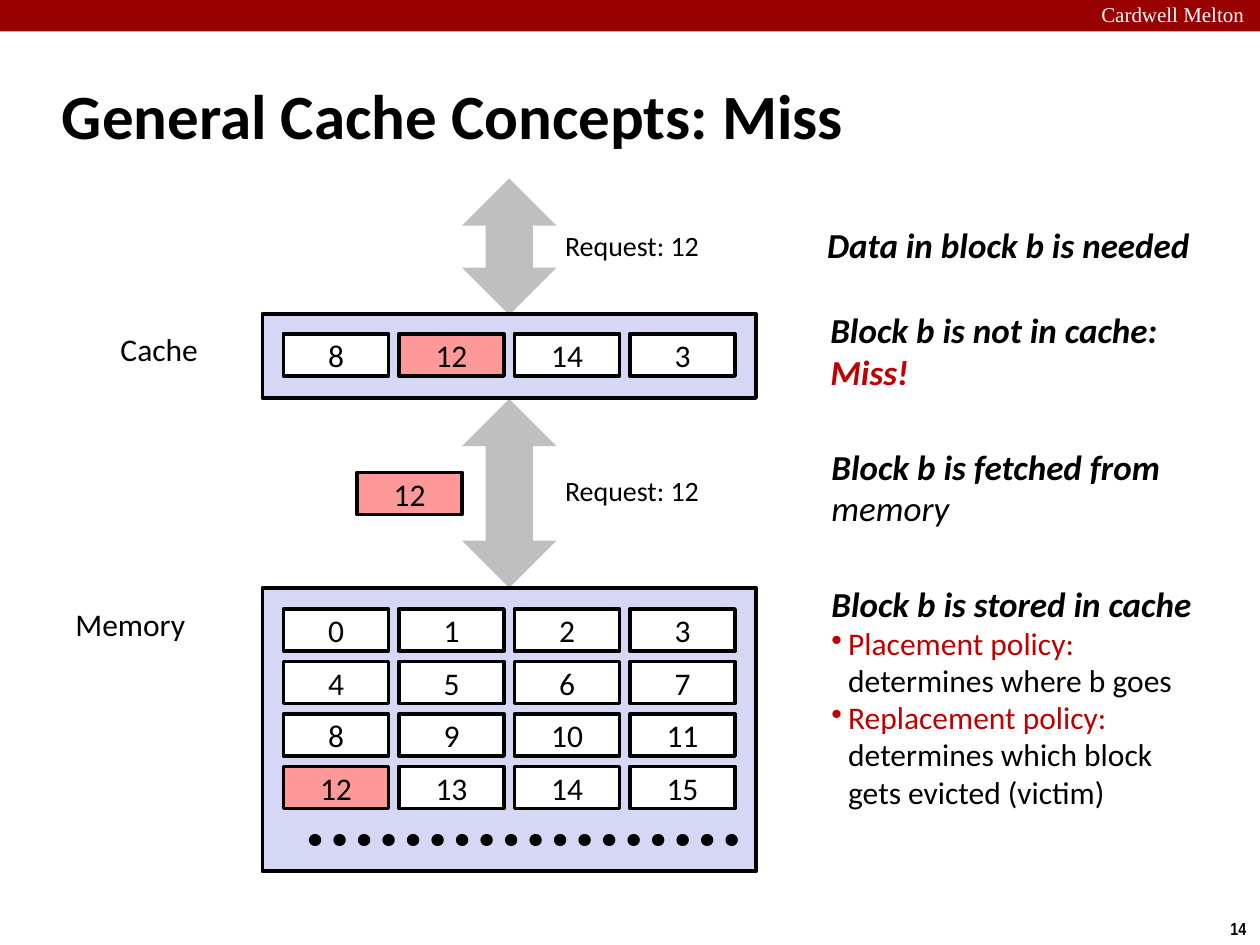
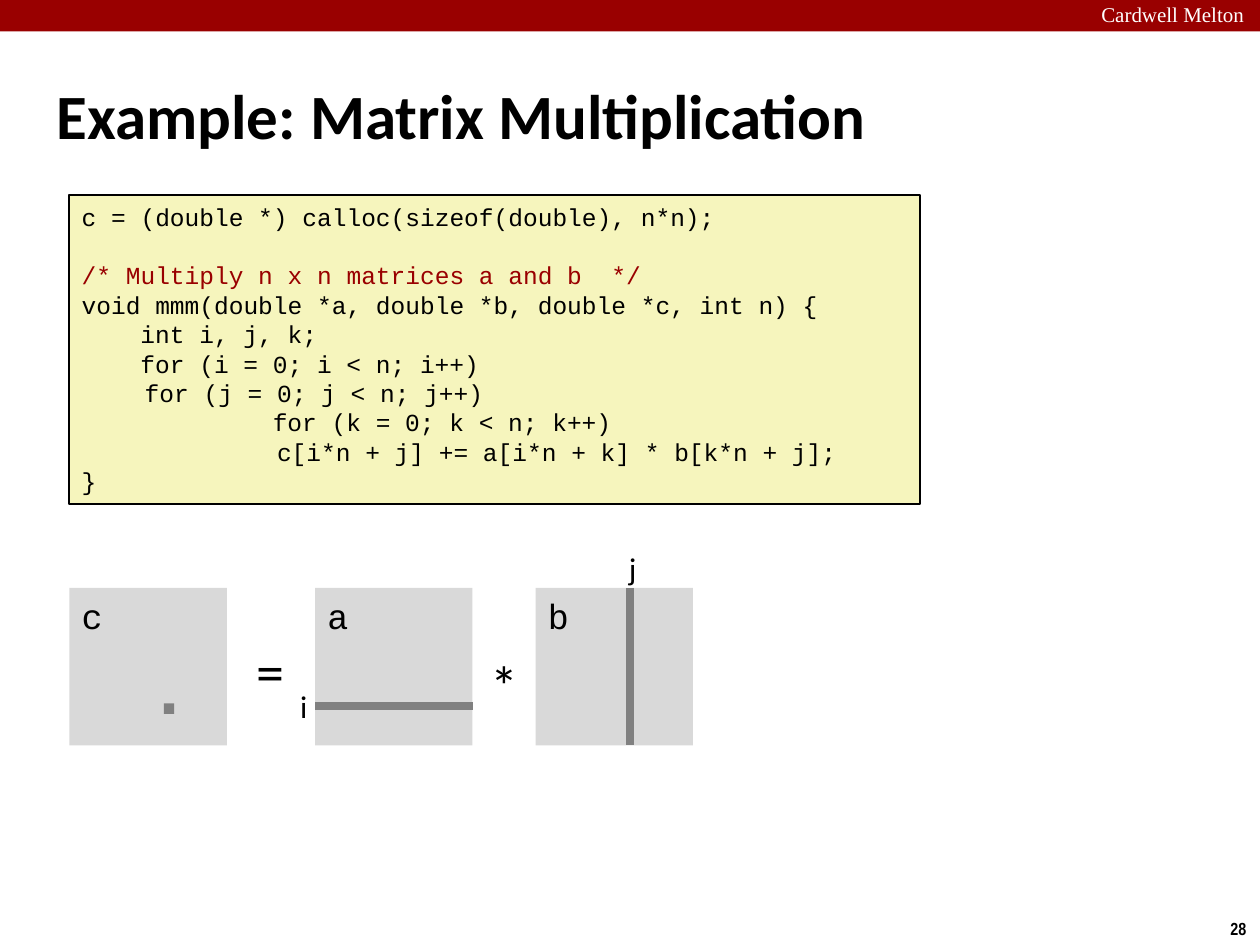
"""Builds two lecture slides: a cache miss diagram and a matrix multiplication example."""
from lxml.etree import SubElement
from pptx import Presentation
from pptx.dml.color import RGBColor
from pptx.enum.dml import MSO_LINE
from pptx.enum.shapes import MSO_CONNECTOR, MSO_SHAPE
from pptx.enum.text import MSO_ANCHOR, MSO_AUTO_SIZE, PP_ALIGN
from pptx.oxml.ns import qn
from pptx.util import Emu, Pt

PX = 7620
BLACK, WHITE, RED, CRIMSON = "000000", "FFFFFF", "990000", "C00000"
LAVENDER, PINK, CREAM = "D6D6F5", "FF9999", "F6F5BD"
ARROW_GRAY, MATRIX_GRAY, MARK_GRAY = "BFBFBF", "D9D9D9", "808080"
BODY, CODE, BRAND, NUMBER = "Calibri", "Courier New", "Times New Roman", "Arial Narrow"

UNIVERSITY = "Cardwell Melton"

REQUESTED = 12
CACHE_BLOCKS = [[8, 12, 14, 3]]
MEMORY_BLOCKS = [[4 * row + col for col in range(4)] for row in range(4)]
STORES = [((250, 560, 470, 270), 580, MEMORY_BLOCKS),
          ((250, 299, 470, 80), 318, CACHE_BLOCKS)]
BLOCK_LEFT, BLOCK_PITCH, ROW_PITCH = 270, 110, 50
BLOCK_SIZE = (100, 40)
TRANSFERS = [(440, 170, 90, 130), (440, 380, 90, 180)]
STORE_LABELS = [("Cache", (103, 308, 125, 60)), ("Memory", (60, 570, 168, 60))]
REQUEST_TOPS = [212, 445]
STEPS = [
    ((776, 208, 371, 52), ["Data in block b is needed"]),
    ((779, 290, 337, 91), ["Block b is not in cache:", [("Miss!", {"color": CRIMSON})]]),
    ((780, 420, 340, 91), ["Block b is fetched from", [("memory", {"bold": False})]]),
]
PLAIN = {"size": 18, "bold": False, "italic": False}
POLICIES = [("Placement policy:", "determines where b goes"),
            ("Replacement policy:", "determines which block\ngets evicted (victim)")]
STORED = ["Block b is stored in cache"] + [
    [(name + "\n", {**PLAIN, "color": CRIMSON}), (effect, PLAIN)] for name, effect in POLICIES]

CODE_LINES = [
    (0, "c = (double *) calloc(sizeof(double), n*n);"),
    (0, "/* Multiply n x n matrices a and b  */"),
    (0, "void mmm(double *a, double *b, double *c, int n) {"),
    (56, "int i, j, k;"),
    (56, "for (i = 0; i < n; i++)"),
    (60, "for (j = 0; j < n; j++)"),
    (182, "for (k = 0; k < n; k++)"),
    (186, "c[i*n + j] += a[i*n + k] * b[k*n + j];"),
    (0, "}"),
]
CODE_LEADING = Pt(16.8)
MATRIX_TOP, MATRIX_SIDE = 560, 150
MATRICES = {"c": 66, "a": 300, "b": 510}
ROW_Y, COLUMN_X = 672, 600
SIGNS = [("i", (274, 648, 31, 48), 18), ("j", (587, 517, 32, 48), 18),
         ("*", (455, 614, 52, 77), 32), ("=", (232, 600, 52, 77), 32)]


def rgb(hex_color):
    return RGBColor.from_string(hex_color)


def px(*lengths):
    return [Emu(length * PX) for length in lengths]


def write(frame, paragraphs, size=18, color=BLACK, font=BODY, bold=False, italic=False,
          align=PP_ALIGN.LEFT, anchor=MSO_ANCHOR.TOP, spacing=None):
    frame.vertical_anchor = anchor
    base = {"size": size, "color": color, "bold": bold, "italic": italic}
    for index, runs in enumerate(paragraphs):
        paragraph = frame.add_paragraph() if index else frame.paragraphs[0]
        paragraph.alignment = align
        paragraph.line_spacing = spacing
        for text, changes in [(runs, {})] if isinstance(runs, str) else runs:
            style = {**base, **changes}
            for part_index, part in enumerate(text.split("\n")):
                if part_index:
                    paragraph.add_line_break()
                if part:
                    run = paragraph.add_run()
                    run.text = part
                    run.font.name, run.font.size = font, Pt(style["size"])
                    run.font.bold, run.font.italic = style["bold"], style["italic"]
                    run.font.color.rgb = rgb(style["color"])
    return frame


def add_label(slide, box, paragraphs, **style):
    frame = slide.shapes.add_textbox(*px(*box)).text_frame
    frame.word_wrap = False
    frame.auto_size = MSO_AUTO_SIZE.SHAPE_TO_FIT_TEXT
    return write(frame, paragraphs, **style)


def add_box(slide, box, fill, border=None, kind=MSO_SHAPE.RECTANGLE):
    shape = slide.shapes.add_shape(kind, *px(*box))
    shape.shadow.inherit = False
    shape.fill.solid()
    shape.fill.fore_color.rgb = rgb(fill)
    if border:
        shape.line.color.rgb = rgb(BLACK)
        shape.line.width = Pt(border)
    else:
        shape.line.fill.background()
    return shape


def add_line(slide, ends, color, width, dotted=False):
    connector = slide.shapes.add_connector(MSO_CONNECTOR.STRAIGHT, *px(*ends))
    connector.line.color.rgb = rgb(color)
    connector.line.width = Pt(width)
    properties = connector._element.spPr
    if dotted:
        connector.line.dash_style = MSO_LINE.ROUND_DOT
        properties.find(qn("a:ln")).set("cap", "rnd")
    SubElement(properties, qn("a:effectLst"))


def add_block(slide, left, top, value):
    block = add_box(slide, (left, top, *BLOCK_SIZE), PINK if value == REQUESTED else WHITE, 2.25)
    write(block.text_frame, [str(value)], align=PP_ALIGN.CENTER, anchor=MSO_ANCHOR.MIDDLE)


def start_slide(deck, title, title_left, number):
    slide = deck.slides.add_slide(deck.slide_layouts[5])
    add_box(slide, (0, 0, 1200, 30), RED)
    add_label(slide, (1037, -4, 172, 36), [UNIVERSITY], size=12, color=WHITE, font=BRAND)
    add_label(slide, (1160, 868, 41, 32), [number], size=10, font=NUMBER, bold=True)
    heading = slide.shapes.title
    heading.left, heading.top, heading.width, heading.height = px(title_left, 59, 996, 100)
    write(heading.text_frame, [title], size=36, bold=True, anchor=MSO_ANCHOR.MIDDLE)
    return slide


def build_cache_miss(deck):
    slide = start_slide(deck, "General Cache Concepts: Miss", 47, "14")
    for box in TRANSFERS:
        add_box(slide, box, ARROW_GRAY, kind=MSO_SHAPE.UP_DOWN_ARROW)
    for box, first_top, rows in STORES:
        add_box(slide, box, LAVENDER, 2.25)
        for row, values in enumerate(rows):
            for col, value in enumerate(values):
                add_block(slide, BLOCK_LEFT + col * BLOCK_PITCH, first_top + row * ROW_PITCH, value)
    add_block(slide, 340, 450, REQUESTED)
    add_line(slide, (300, 800, 700, 800), BLACK, 7, dotted=True)
    for name, box in STORE_LABELS:
        add_label(slide, box, [name])
    for top in REQUEST_TOPS:
        add_label(slide, (524, top, 156, 44), [f"Request: {REQUESTED}"],
                  size=16, align=PP_ALIGN.CENTER)
    step_style = {"size": 20, "bold": True, "italic": True,
                  "anchor": MSO_ANCHOR.MIDDLE, "spacing": 0.98}
    for box, lines in STEPS:
        add_label(slide, box, lines, **step_style)
    stored = add_label(slide, (780, 550, 368, 230), STORED, **step_style)
    for policy in stored.paragraphs[1:]:
        properties = policy._p.get_or_add_pPr()
        properties.set("marL", str(16 * PX))
        properties.set("indent", str(-16 * PX))
        SubElement(properties, qn("a:buChar")).set("char", "•")


def build_matrix_product(deck):
    slide = start_slide(deck, "Example: Matrix Multiplication", 42, "28")
    for name, left in MATRICES.items():
        matrix = add_box(slide, (left, MATRIX_TOP, MATRIX_SIDE, MATRIX_SIDE), MATRIX_GRAY)
        write(matrix.text_frame, [name], size=20, font=CODE)
    add_line(slide, (MATRICES["a"], ROW_Y, MATRICES["a"] + MATRIX_SIDE, ROW_Y), MARK_GRAY, 4.5)
    add_line(slide, (COLUMN_X, MATRIX_TOP, COLUMN_X, MATRIX_TOP + MATRIX_SIDE), MARK_GRAY, 4.5)
    add_box(slide, (156, 670, 10, 10), MARK_GRAY)
    for sign, box, size in SIGNS:
        add_label(slide, box, [sign], size=size)
    listing = add_box(slide, (66, 186, 810, 294), CREAM, 1).text_frame
    listing.word_wrap = True
    lines = [[(text, {"color": RED if text.startswith("/*") else BLACK})] for _, text in CODE_LINES]
    write(listing, lines, size=14, font=CODE, spacing=CODE_LEADING)
    for paragraph, (indent, _) in zip(listing.paragraphs, CODE_LINES):
        paragraph._p.get_or_add_pPr().set("marL", str(indent * PX))
    listing.paragraphs[1].space_before = CODE_LEADING


def main():
    deck = Presentation()
    deck.slide_width, deck.slide_height = px(1200, 900)
    build_cache_miss(deck)
    build_matrix_product(deck)
    deck.save("out.pptx")


if __name__ == "__main__":
    main()
